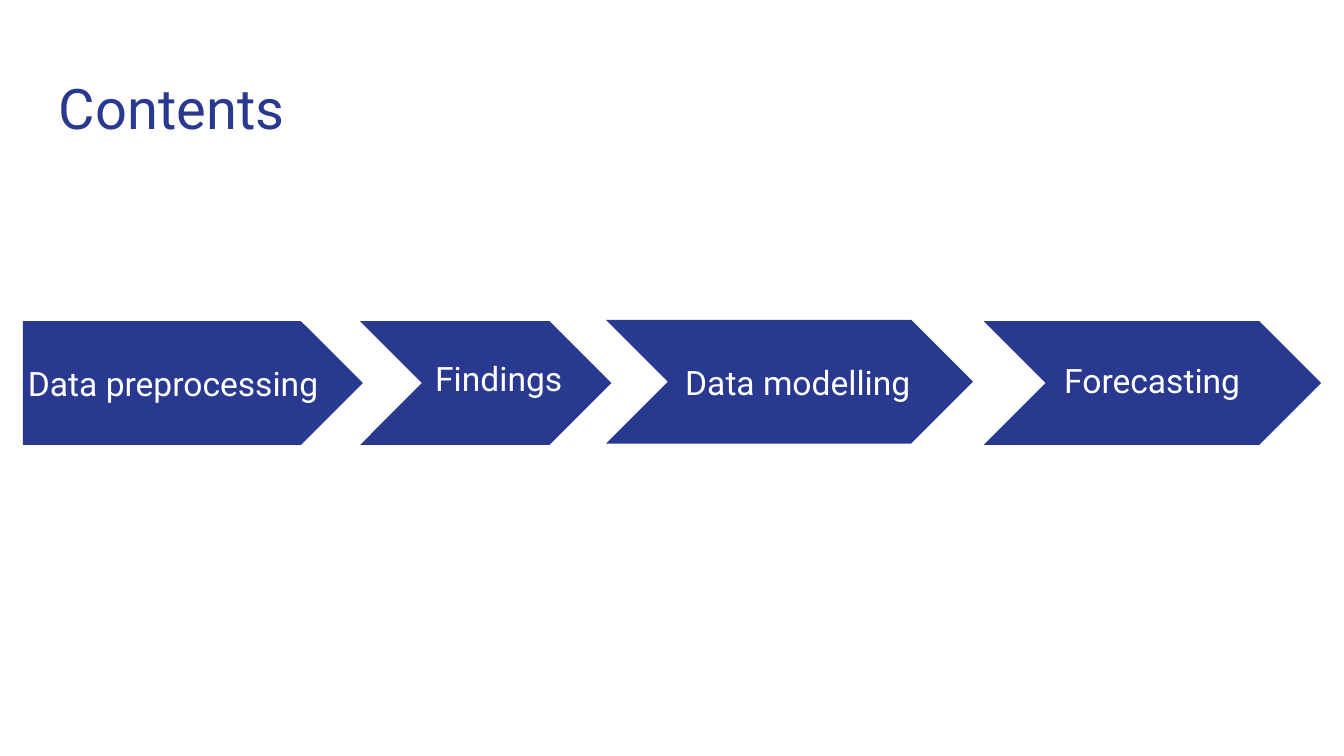
from pptx import Presentation
from pptx.dml.color import RGBColor
from pptx.enum import shapes, text
from pptx.util import Inches, Pt

FONT = "Roboto"
NAVY, WHITE = "2A3990", "FFFFFF"
PENTAGON = shapes.MSO_SHAPE.PENTAGON
CHEVRON = shapes.MSO_SHAPE.CHEVRON
ARROW_HEIGHT = 0.92

# Content: label, arrow kind, arrow (left, top, width), label box
TITLE = "Contents"
STEPS = [
    ("Data preprocessing", PENTAGON, (0.17, 2.39, 2.53), (0.11, 2.39, 2.46, 0.92)),
    ("Findings", CHEVRON, (2.68, 2.39, 1.87), (3.14, 2.64, 1.24, 0.34)),
    ("Data modelling", CHEVRON, (4.51, 2.38, 2.73), (5, 2.67, 2.32, 0.34)),
    ("Forecasting", CHEVRON, (7.32, 2.39, 2.51), (7.82, 2.66, 1.84, 0.34)),
]


def color(value):
    return RGBColor.from_string(value)


def add_text(slide, box, wording, size, fill, anchor):
    frame = slide.shapes.add_textbox(*map(Inches, box)).text_frame
    frame.word_wrap = True
    frame.vertical_anchor = anchor
    frame.margin_left = frame.margin_right = Inches(0.1)
    frame.margin_top = frame.margin_bottom = Inches(0.1)
    paragraph = frame.paragraphs[0]
    paragraph.text = wording
    paragraph.font.name = FONT
    paragraph.font.size = Pt(size)
    paragraph.font.color.rgb = color(fill)


def add_arrow(slide, kind, left, top, width):
    arrow = slide.shapes.add_shape(
        kind, Inches(left), Inches(top), Inches(width), Inches(ARROW_HEIGHT))
    arrow.adjustments[0] = 0.5
    arrow.shadow.inherit = False
    arrow.fill.solid()
    arrow.fill.fore_color.rgb = color(NAVY)
    arrow.line.fill.background()


def main():
    # Widescreen 16:9 slide
    presentation = Presentation()
    presentation.slide_width = Inches(10)
    presentation.slide_height = Inches(10 * 9 / 16)
    slide = presentation.slides.add_slide(presentation.slide_layouts[6])

    # Title
    add_text(slide, (0.34, 0.45, 9.32, 0.66), TITLE, 30, NAVY, text.MSO_ANCHOR.TOP)

    # Process arrows with their labels
    for label, kind, arrow, box in STEPS:
        add_arrow(slide, kind, *arrow)
        add_text(slide, box, label, 18, WHITE, text.MSO_ANCHOR.MIDDLE)

    presentation.save("out.pptx")


if __name__ == "__main__":
    main()
